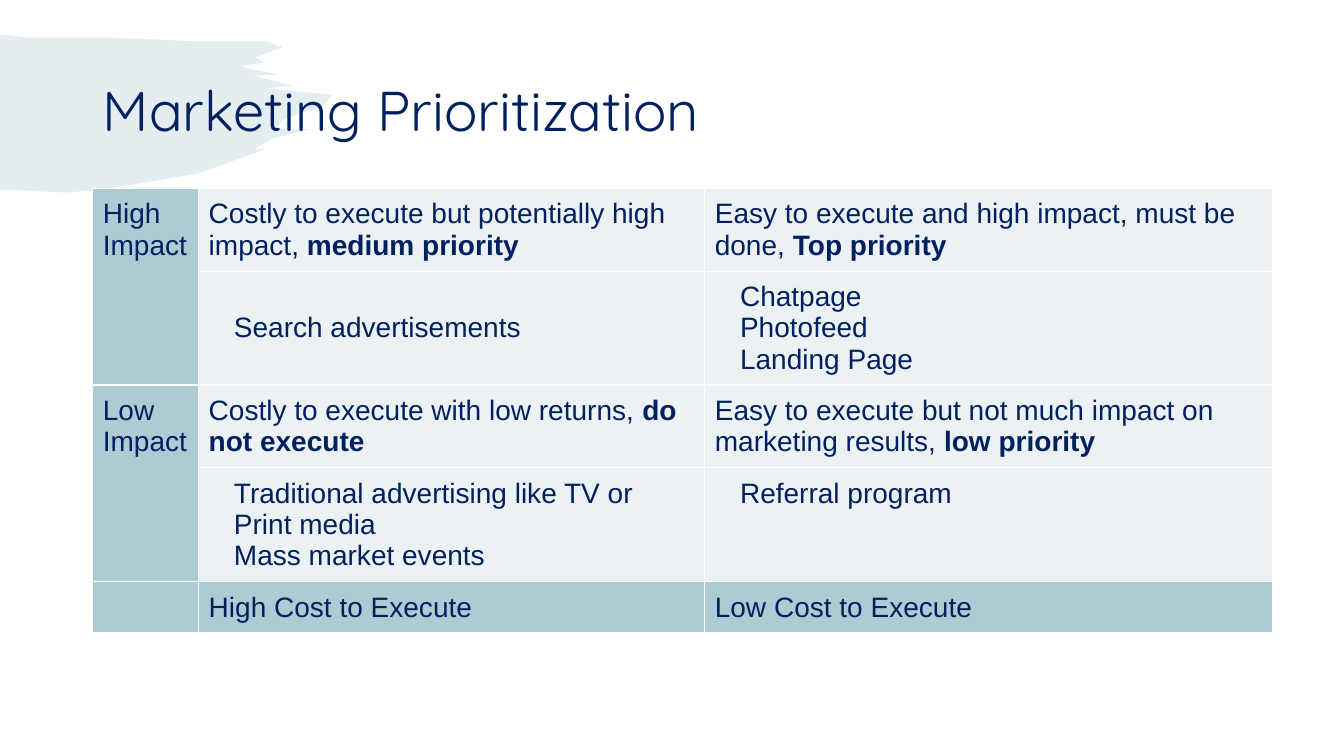
import pptx
import pptx.util
import pptx.oxml.ns
import pptx.dml.color
import pptx.enum.text
from lxml import etree

TITLE = "Marketing Prioritization"
COLORS = {"ink": "002060", "head": "AECBD3", "body": "ECF1F3",
          "wash": "7AA9B7", "rule": "FFFFFF"}

ROWS = [
    ["High Impact",
     ["Costly to execute but potentially high impact, ", "medium priority"],
     ["Easy to execute and high impact, must be done, ", "Top priority"]],
    [None, ("Search advertisements",),
     ("Chatpage", "Photofeed", "Landing Page")],
    ["Low Impact",
     ["Costly to execute with low returns, ", "do not execute"],
     ["Easy to execute but not much impact on marketing results, ", "low priority"]],
    [None,
     ("Traditional advertising like TV or", "Print media", "Mass market events"),
     ("Referral program",)],
    [None, "High Cost to Execute", "Low Cost to Execute"],
]
WIDTHS = [105, 502, 563]
HEIGHTS = [81, 113, 81, 113, 50]
LEFT, TOP = 92, 187
PAD, INDENT = 10, 25
MIDDLE = (1, 1)
SPANS = [(0, 1), (2, 3)]

WASH = [(0, 34), (25, 37), (102, 37), (194, 41), (265, 41), (280, 47),
        (253, 57), (262, 62), (238, 66), (275, 74), (251, 75),
        (290, 85), (263, 88), (330, 94), (318, 106), (280, 119),
        (274, 128), (308, 128), (269, 138), (252, 148), (263, 148),
        (197, 172), (102, 188), (65, 191), (0, 188)]
PX = 9144


def px(num):
    return pptx.util.Emu(num * PX)


def tint(name):
    return pptx.dml.color.RGBColor.from_string(COLORS[name])


def paint(slide):
    pen = slide.shapes.build_freeform(*WASH[0], scale=PX)
    pen.add_line_segments(WASH[1:], close=True)
    wash = pen.convert_to_shape()
    wash.shadow.inherit = False
    wash.fill.solid()
    wash.fill.fore_color.rgb = tint("wash")
    wash.line.fill.background()
    name = pptx.oxml.ns.qn
    color = next(wash.element.iter(name("a:srgbClr")))
    etree.SubElement(color, name("a:alpha")).set("val", "20000")
    wash.element.getparent().insert(2, wash.element)


def write(para, text, size, face, bold=False):
    run = para.add_run()
    run.text = text
    font = run.font
    font.size, font.name, font.bold = pptx.util.Pt(size), face, bold
    font.color.rgb = tint("ink")


def edge(cell):
    name = pptx.oxml.ns.qn
    props = cell._tc.get_or_add_tcPr()
    for side in ("lnL", "lnR", "lnT", "lnB"):
        line = etree.SubElement(props, name("a:" + side), w="12700")
        paint = etree.SubElement(line, name("a:solidFill"))
        etree.SubElement(paint, name("a:srgbClr"), val=COLORS["rule"])


def fill(cell, text, shade):
    edge(cell)
    cell.fill.solid()
    cell.fill.fore_color.rgb = tint(shade)
    cell.margin_left = cell.margin_right = px(PAD)
    cell.margin_top = cell.margin_bottom = px(PAD)
    frame = cell.text_frame
    if isinstance(text, tuple):
        for n, item in enumerate(text):
            para = frame.add_paragraph() if n else frame.paragraphs[0]
            para._p.get_or_add_pPr().set("marL", str(px(INDENT)))
            write(para, item, 20, "Arial")
    elif text:
        parts = [text] if isinstance(text, str) else text
        for n, part in enumerate(parts):
            write(frame.paragraphs[0], part, 20, "Arial", n == 1)


def grid(slide):
    table = slide.shapes.add_table(
        len(ROWS), len(WIDTHS), px(LEFT), px(TOP),
        px(sum(WIDTHS)), px(sum(HEIGHTS))).table
    table.first_row = table.horz_banding = False
    for col, width in zip(table.columns, WIDTHS):
        col.width = px(width)
    for row, height in zip(table.rows, HEIGHTS):
        row.height = px(height)
    for r, row in enumerate(ROWS):
        for c, text in enumerate(row):
            head = c == 0 or r == len(ROWS) - 1
            fill(table.cell(r, c), text, "head" if head else "body")
    table.cell(*MIDDLE).vertical_anchor = pptx.enum.text.MSO_ANCHOR.MIDDLE
    for top, end in SPANS:
        table.cell(top, 0).merge(table.cell(end, 0))


def head(slide):
    title = slide.shapes.title
    title.left, title.top = px(92), px(40)
    title.width, title.height = px(1150), px(145)
    frame = title.text_frame
    frame.word_wrap = True
    frame.auto_size = pptx.enum.text.MSO_AUTO_SIZE.NONE
    frame.vertical_anchor = pptx.enum.text.MSO_ANCHOR.MIDDLE
    para = frame.paragraphs[0]
    para.alignment = pptx.enum.text.PP_ALIGN.LEFT
    para.line_spacing = 0.9
    write(para, TITLE, 40, "Quicksand")


def main():
    deck = pptx.Presentation()
    deck.slide_width, deck.slide_height = px(1333), px(750)
    slide = deck.slides.add_slide(deck.slide_layouts[5])
    paint(slide)
    head(slide)
    grid(slide)
    deck.save("out.pptx")


if __name__ == "__main__":
    main()
